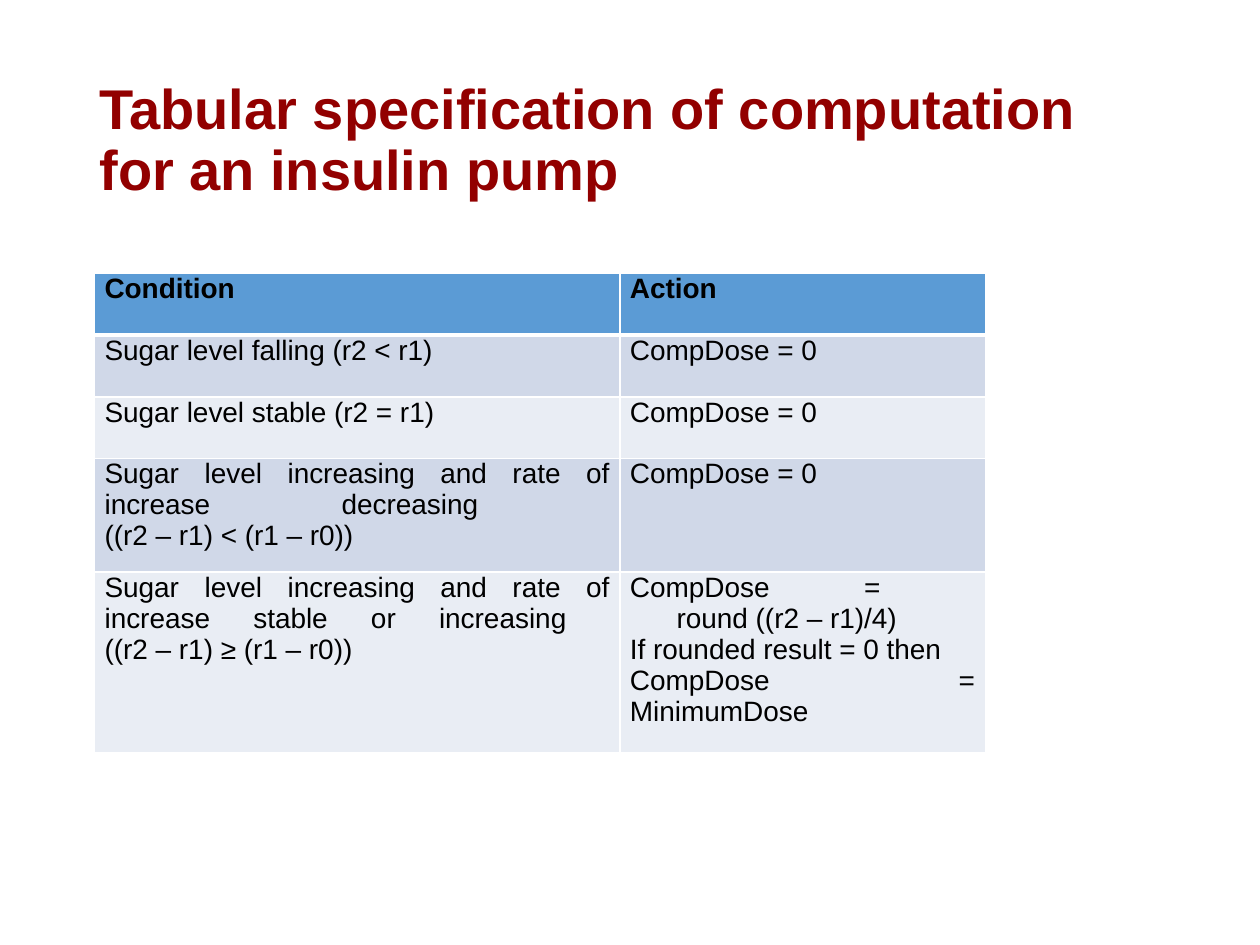
from dataclasses import dataclass

from lxml.etree import SubElement
from pptx import Presentation
from pptx.dml.color import RGBColor
from pptx.enum.text import MSO_ANCHOR, PP_ALIGN
from pptx.oxml.ns import qn
from pptx.util import Inches, Pt


@dataclass(frozen=True)
class Theme:
    font: str = "Arial"
    title_size: int = 32
    table_size: int = 16
    title_color: str = "920000"
    text_color: str = "000000"
    header_fill: str = "5B9BD5"
    band_fills: tuple = ("D0D8E8", "E9EDF4")
    border_color: str = "FFFFFF"
    border_width: int = 1
    header_rule_width: int = 3


THEME = Theme()

# Each cell is a list of paragraphs; "\v" is a line break inside a paragraph
ROWS = [
    (["Condition"], ["Action"]),
    (["Sugar level falling (r2 < r1)"], ["CompDose = 0"]),
    (["Sugar level stable (r2 = r1)"], ["CompDose = 0"]),
    (["Sugar level increasing and rate of increase decreasing \v((r2 – r1) < (r1 – r0))"],
     ["CompDose = 0"]),
    (["Sugar level increasing and rate of increase stable or increasing \v((r2 – r1) ≥ (r1 – r0))"],
     ["CompDose = \vround ((r2 – r1)/4)", "If rounded result = 0 then", "CompDose = MinimumDose"]),
]
COLUMN_WIDTHS = (4.17, 2.9)
ROW_HEIGHTS = (0.49, 0.49, 0.49, 0.84, 1.33)
FORMULA_INDENT = Inches(0.37)


def style_font(font, size, color, bold):
    font.name = THEME.font
    font.size = Pt(size)
    font.bold = bold
    font.color.rgb = RGBColor.from_string(color)


def add_title(slide, left, top, width, height):
    text_frame = slide.shapes.add_textbox(left, top, width, height).text_frame
    text_frame.word_wrap = True
    text_frame.vertical_anchor = MSO_ANCHOR.MIDDLE
    paragraph = text_frame.paragraphs[0]
    paragraph.text = "Tabular specification of computation for an insulin pump"
    paragraph.line_spacing = 0.9
    style_font(paragraph.font, THEME.title_size, THEME.title_color, True)


def set_borders(cell, top_width, bottom_width):
    properties = cell._tc.get_or_add_tcPr()
    side = THEME.border_width
    for tag, width in (("lnL", side), ("lnR", side), ("lnT", top_width), ("lnB", bottom_width)):
        line = SubElement(properties, qn(f"a:{tag}"), w=str(Pt(width)))
        fill = SubElement(line, qn("a:solidFill"))
        SubElement(fill, qn("a:srgbClr"), val=THEME.border_color)


def fill_cell(cell, paragraphs, row_index):
    is_header = row_index == 0
    set_borders(
        cell,
        THEME.header_rule_width if row_index == 1 else THEME.border_width,
        THEME.header_rule_width if is_header else THEME.border_width,
    )
    cell.fill.solid()
    color = THEME.header_fill if is_header else THEME.band_fills[(row_index - 1) % 2]
    cell.fill.fore_color.rgb = RGBColor.from_string(color)
    cell.margin_left = cell.margin_right = Inches(0.08)
    cell.margin_top, cell.margin_bottom = 0, Inches(0.1)

    text_frame = cell.text_frame
    for index, text in enumerate(paragraphs):
        paragraph = text_frame.paragraphs[0] if index == 0 else text_frame.add_paragraph()
        paragraph.text = text
        paragraph.alignment = PP_ALIGN.JUSTIFY
        # A hanging indent sets the formula in from its first line
        if "\vround" in text:
            properties = paragraph._p.get_or_add_pPr()
            properties.set("marL", str(FORMULA_INDENT))
            properties.set("indent", str(-FORMULA_INDENT))
        style_font(paragraph.font, THEME.table_size, THEME.text_color, is_header)


def add_specification_table(slide, left, top):
    table = slide.shapes.add_table(
        len(ROWS), len(COLUMN_WIDTHS), left, top,
        Inches(sum(COLUMN_WIDTHS)), Inches(sum(ROW_HEIGHTS)),
    ).table
    for column, width in zip(table.columns, COLUMN_WIDTHS):
        column.width = Inches(width)
    for row_index, (row, height) in enumerate(zip(ROWS, ROW_HEIGHTS)):
        table.rows[row_index].height = Inches(height)
        for column_index, paragraphs in enumerate(row):
            fill_cell(table.cell(row_index, column_index), paragraphs, row_index)


def main():
    presentation = Presentation()
    presentation.slide_width, presentation.slide_height = Inches(10), Inches(7.5)
    slide = presentation.slides.add_slide(presentation.slide_layouts[6])

    # Title
    add_title(slide, Inches(0.69), Inches(0.4), Inches(8.62), Inches(1.45))
    # Conditions and actions
    add_specification_table(slide, Inches(0.75), Inches(2.17))

    presentation.save("out.pptx")


if __name__ == "__main__":
    main()
